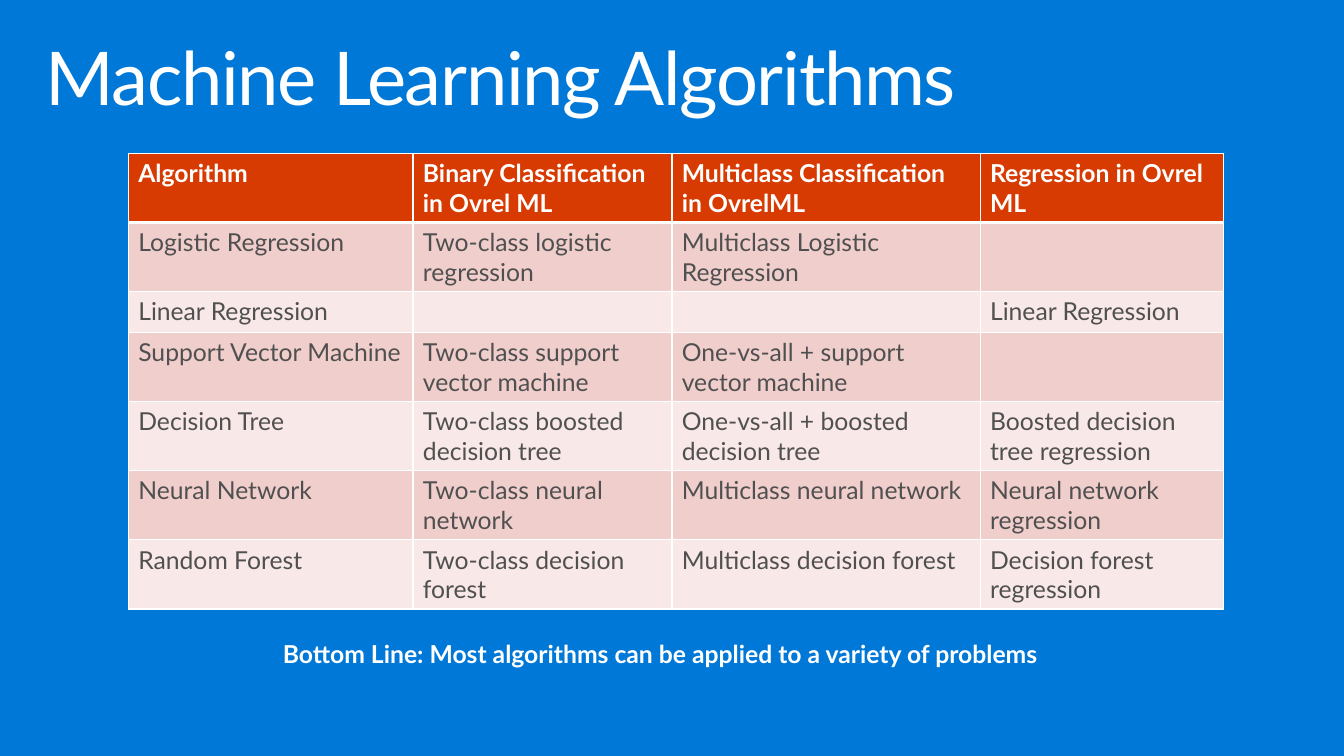
from dataclasses import dataclass

from lxml import etree
from pptx import Presentation
from pptx.dml.color import RGBColor
from pptx.enum.text import MSO_ANCHOR, MSO_AUTO_SIZE, PP_ALIGN
from pptx.oxml.ns import qn
from pptx.util import Emu, Pt

LEFT, CENTER = PP_ALIGN.LEFT, PP_ALIGN.CENTER
TOP, FIXED = MSO_ANCHOR.TOP, MSO_AUTO_SIZE.NONE
SCALE = 9144
FONT = "Lato"
COLORS = {
    "back": "0078D7",
    "white": "FFFFFF",
    "head": "D83B01",
    "odd": "F0CECC",
    "even": "F8E8E7",
    "text": "505050",
}


@dataclass
class Box:
    left: int
    top: int
    width: int
    height: int


@dataclass
class Row:
    height: int
    cells: tuple[str, str, str, str]


TITLE = Box(30, 32, 1300, 100)
NOTE = Box(62, 642, 1212, 40)
GRID = Box(130, 155, 1108, 461)
COLS = (288, 262, 312, 246)
ROWS = (
    Row(70, ("Algorithm", "Binary Classification in Ovrel ML",
             "Multiclass Classification in OvrelML", "Regression in Ovrel ML")),
    Row(70, ("Logistic Regression", "Two-class logistic regression",
             "Multiclass Logistic Regression", "")),
    Row(41, ("Linear Regression", "", "", "Linear Regression")),
    Row(70, ("Support Vector Machine", "Two-class support vector machine",
             "One-vs-all + support vector machine", "")),
    Row(70, ("Decision Tree", "Two-class boosted decision tree",
             "One-vs-all + boosted decision tree", "Boosted decision tree regression")),
    Row(70, ("Neural Network", "Two-class neural network",
             "Multiclass neural network", "Neural network regression")),
    Row(70, ("Random Forest", "Two-class decision forest",
             "Multiclass decision forest", "Decision forest regression")),
)


def px(count: int) -> Emu:
    return Emu(count * SCALE)


def color(name: str) -> RGBColor:
    return RGBColor.from_string(COLORS[name])


def place(box: Box) -> tuple[Emu, Emu, Emu, Emu]:
    return px(box.left), px(box.top), px(box.width), px(box.height)


def style(para, size: int, tint: str, bold: bool, align=LEFT) -> None:
    para.alignment = align
    para.font.name = FONT
    para.font.size = Pt(size)
    para.font.bold = bold
    para.font.color.rgb = color(tint)


def edge(cell, side: str, width: int) -> None:
    line = etree.SubElement(cell._tc.get_or_add_tcPr(), qn(f"a:ln{side}"), w=str(Pt(width)))
    fill = etree.SubElement(line, qn("a:solidFill"))
    etree.SubElement(fill, qn("a:srgbClr"), val=COLORS["white"])


def draw_title(slide) -> None:
    title = slide.shapes.title
    title.left, title.top, title.width, title.height = place(TITLE)
    frame = title.text_frame
    frame.text = "Machine Learning Algorithms"
    frame.auto_size = FIXED
    frame.word_wrap = True
    frame.vertical_anchor = TOP
    frame.margin_left = frame.margin_right = px(16)
    frame.margin_top = frame.margin_bottom = px(10)
    para = frame.paragraphs[0]
    para.line_spacing = 0.9
    style(para, 54, "white", False)
    para.runs[0]._r.get_or_add_rPr().set("spc", "-100")


def draw_grid(slide) -> None:
    table = slide.shapes.add_table(len(ROWS), len(COLS), *place(GRID)).table
    for col, width in zip(table.columns, COLS):
        col.width = px(width)
    for index, row in enumerate(ROWS):
        table.rows[index].height = px(row.height)
        head = index == 0
        shade = "head" if head else "odd" if index % 2 else "even"
        edges = {"L": 1, "R": 1, "T": 3 if index == 1 else 1, "B": 3 if head else 1}
        for cell, text in zip(table.rows[index].cells, row.cells):
            for side, width in edges.items():
                edge(cell, side, width)
            cell.fill.solid()
            cell.fill.fore_color.rgb = color(shade)
            cell.text = text
            style(cell.text_frame.paragraphs[0], 18, "white" if head else "text", head)


def draw_note(slide) -> None:
    frame = slide.shapes.add_textbox(*place(NOTE)).text_frame
    frame.word_wrap = True
    frame.text = "Bottom Line: Most algorithms can be applied to a variety of problems"
    style(frame.paragraphs[0], 18, "white", True, CENTER)


def main() -> None:
    deck = Presentation()
    deck.slide_width, deck.slide_height = px(1360), px(765)
    slide = deck.slides.add_slide(deck.slide_layouts.get_by_name("Title Only"))
    slide.background.fill.solid()
    slide.background.fill.fore_color.rgb = color("back")
    draw_title(slide)
    draw_note(slide)
    draw_grid(slide)
    deck.save("out.pptx")


if __name__ == "__main__":
    main()
